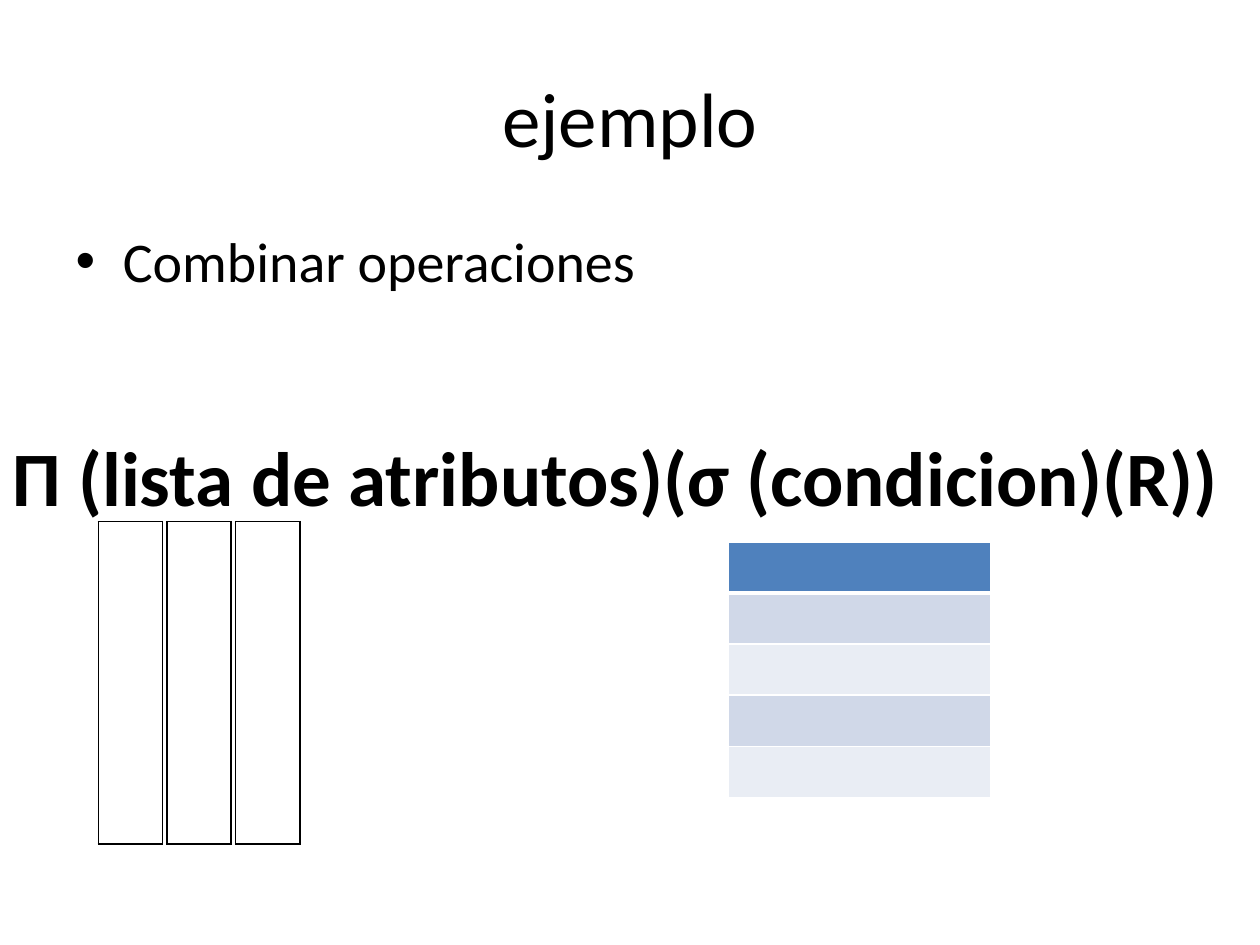
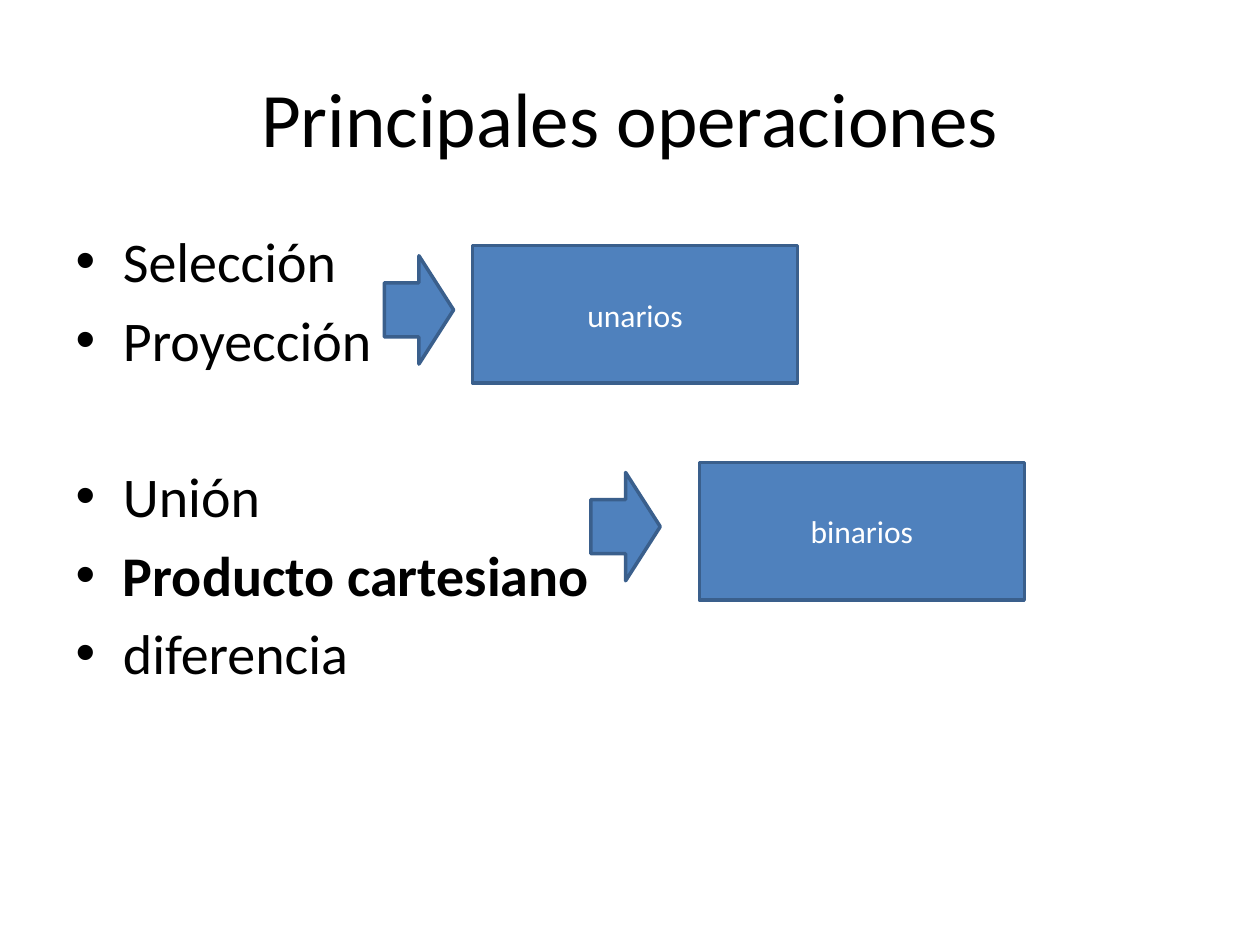
import lxml.etree
import pptx
import pptx.dml.color
import pptx.enum.shapes
import pptx.enum.text
import pptx.oxml.ns
import pptx.util

# Content
EXAMPLE_TITLE = "ejemplo"
EXAMPLE_ITEMS = [("Combinar operaciones", False, False)]
FORMULA = "Π (lista de atributos)(σ (condicion)(R))"
OPERATIONS_TITLE = "Principales operaciones"
# Text, bold, starts a new group
OPERATION_ITEMS = [
    ("Selección", False, False),
    ("Proyección", False, False),
    ("Unión", False, True),
    ("Producto cartesiano", True, False),
    ("diferencia", False, False),
]
# Label, left of arrow, left of box, top of box
OPERATION_KINDS = [("unarios", 3.05, 3.75, 1.95), ("binarios", 4.69, 5.55, 3.67)]

# Shared style
FONT = "Calibri"
BLACK, WHITE, BLUE, DARK_BLUE = "000000", "FFFFFF", "4F81BD", "3A5F8C"
BANDS = ["D0D8E8", "E9EDF4"]
TITLE_SIZE, LIST_SIZE, LABEL_SIZE = 44, 32, 18
GROUP_GAP = 51

# Grid, in inches
WIDTH, HEIGHT = 10, 7.5
MARGIN = WIDTH * 0.05
TITLE_AREA = (MARGIN, 0.3, WIDTH - 2 * MARGIN, 1.25)
LIST_AREA = (MARGIN, 1.75, WIDTH - 2 * MARGIN, 4.95)
FORMULA_AREA = (0, 3.36, WIDTH, 0.84)
RELATION_ROWS, RELATION_AREA = 5, (5.78, 4.3, 2.08, 2.03)
ATTRIBUTE_COUNT, ATTRIBUTE_STEP = 3, 0.545
ATTRIBUTE_AREA = (0.78, 4.14, 0.51, 2.56)
BOX_SIZE, ARROW_SIZE, ARROW_DROP = (2.58, 1.09), (0.55, 0.86), 0.08


def color(code):
    return pptx.dml.color.RGBColor.from_string(code)


def inches(*lengths):
    return [pptx.util.Inches(length) for length in lengths]


def style(para, size, code, bold=False):
    para.font.name = FONT
    para.font.size = pptx.util.Pt(size)
    para.font.bold = bold
    para.font.color.rgb = color(code)


def place(shape, area):
    shape.left, shape.top, shape.width, shape.height = inches(*area)


def add_page(deck, title, items):
    page = deck.slides.add_slide(deck.slide_layouts[1])
    heading, body = page.placeholders
    place(heading, TITLE_AREA)
    heading.text_frame.text = title
    style(heading.text_frame.paragraphs[0], TITLE_SIZE, BLACK)
    place(body, LIST_AREA)
    body.text_frame.text = "\n".join(text for text, _, _ in items)
    for para, (_, bold, new_group) in zip(body.text_frame.paragraphs, items):
        style(para, LIST_SIZE, BLACK, bold)
        if new_group:
            para.space_before = pptx.util.Pt(GROUP_GAP)
    return page


def set_borders(cell, code, top=1, bottom=1):
    properties = cell._tc.get_or_add_tcPr()
    for side, width in (("L", 1), ("R", 1), ("T", top), ("B", bottom)):
        line = lxml.etree.SubElement(properties, pptx.oxml.ns.qn("a:ln" + side),
                                     w=str(pptx.util.Pt(width)))
        fill = lxml.etree.SubElement(line, pptx.oxml.ns.qn("a:solidFill"))
        lxml.etree.SubElement(fill, pptx.oxml.ns.qn("a:srgbClr"), val=code)


def add_column(page, row_count, area):
    table = page.shapes.add_table(row_count, 1, *inches(*area)).table
    table.first_row = table.horz_banding = False
    return [table.cell(row, 0) for row in range(row_count)]


def add_blue_shape(page, kind, area):
    shape = page.shapes.add_shape(kind, *inches(*area))
    shape.shadow.inherit = False
    shape.fill.solid()
    shape.fill.fore_color.rgb = color(BLUE)
    shape.line.color.rgb = color(DARK_BLUE)
    shape.line.width = pptx.util.Pt(2)
    return shape


def build_example(deck):
    page = add_page(deck, EXAMPLE_TITLE, EXAMPLE_ITEMS)

    # Formula across the slide
    frame = page.shapes.add_textbox(*inches(*FORMULA_AREA)).text_frame
    frame.word_wrap = True
    frame.text = FORMULA
    style(frame.paragraphs[0], TITLE_SIZE, BLACK, bold=True)

    # Relation whose rows are selected
    for row, cell in enumerate(add_column(page, RELATION_ROWS, RELATION_AREA)):
        set_borders(cell, WHITE, top=3 if row == 1 else 1, bottom=3 if row == 0 else 1)
        cell.fill.solid()
        cell.fill.fore_color.rgb = color(BANDS[(row - 1) % 2] if row else BLUE)

    # Attributes that are projected
    left, *rest = ATTRIBUTE_AREA
    for index in range(ATTRIBUTE_COUNT):
        for cell in add_column(page, 1, (left + index * ATTRIBUTE_STEP, *rest)):
            set_borders(cell, BLACK)
            cell.fill.background()


def build_operations(deck):
    page = add_page(deck, OPERATIONS_TITLE, OPERATION_ITEMS)
    shapes = pptx.enum.shapes.MSO_SHAPE

    # Labelled box and arrow for each group
    for label, arrow_left, box_left, top in OPERATION_KINDS:
        box = add_blue_shape(page, shapes.RECTANGLE, (box_left, top, *BOX_SIZE))
        box.text_frame.text = label
        box.text_frame.vertical_anchor = pptx.enum.text.MSO_ANCHOR.MIDDLE
        para = box.text_frame.paragraphs[0]
        para.alignment = pptx.enum.text.PP_ALIGN.CENTER
        style(para, LABEL_SIZE, WHITE)
        add_blue_shape(page, shapes.RIGHT_ARROW, (arrow_left, top + ARROW_DROP, *ARROW_SIZE))


def main():
    deck = pptx.Presentation()
    deck.slide_width, deck.slide_height = inches(WIDTH, HEIGHT)
    build_example(deck)
    build_operations(deck)
    deck.save("out.pptx")


if __name__ == "__main__":
    main()
